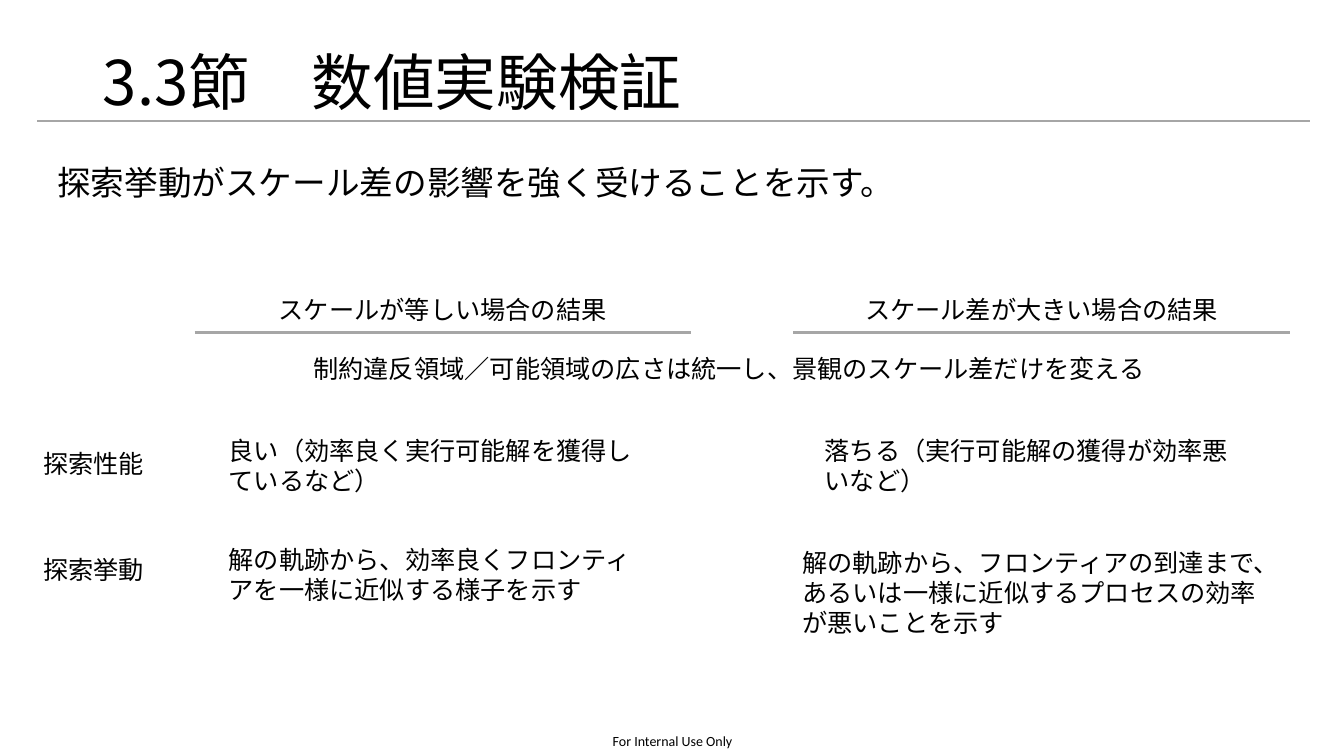
from lxml.etree import SubElement
from pptx import Presentation
from pptx.dml.color import RGBColor
from pptx.enum.shapes import MSO_CONNECTOR
from pptx.enum.text import MSO_ANCHOR, MSO_AUTO_SIZE, PP_ALIGN
from pptx.oxml.ns import qn
from pptx.util import Inches, Pt

COLORS = {"text": "000000", "rule": "A6A6A6", "back": "FFFFFF"}
FONT = "Noto Sans CJK JP"
LINE = 0.46


def write(shape, text, size=18, align=PP_ALIGN.LEFT, font=FONT):
    frame = shape.text_frame
    frame.text = text
    frame.word_wrap = True
    frame.auto_size = MSO_AUTO_SIZE.NONE
    frame.vertical_anchor = MSO_ANCHOR.MIDDLE
    para = frame.paragraphs[0]
    para.alignment = align
    for run in para.runs:
        run.font.name = font
        run.font.size = Pt(size)
        run.font.color.rgb = RGBColor.from_string(COLORS["text"])
        # East Asian glyphs need their own typeface entry
        SubElement(run.font._element, qn("a:ea")).set("typeface", font)
    return frame


def add_text(slide, box, text, **style):
    shape = slide.shapes.add_textbox(*map(Inches, box))
    return write(shape, text, **style)


def add_rule(slide, left, top, width, weight):
    rule = slide.shapes.add_connector(
        MSO_CONNECTOR.STRAIGHT, Inches(left), Inches(top),
        Inches(left + width), Inches(top))
    rule.line.color.rgb = RGBColor.from_string(COLORS["rule"])
    rule.line.width = Pt(weight)
    SubElement(rule._element.spPr, qn("a:effectLst"))


def add_header(slide, left, top, width):
    title = slide.shapes.title
    title.left, title.top = Inches(left + 0.55), Inches(top)
    title.width, title.height = Inches(11.5), Inches(0.89)
    frame = write(title, "3.3節\u3000数値実験検証".replace("\u3000", "　"), size=44)
    frame.paragraphs[0].line_spacing = 0.9
    add_rule(slide, left, top + 0.8, width, 1)
    add_text(slide, (left + 0.1, top + 1.18, 12.31, LINE),
             "探索挙動がスケール差の影響を強く受けることを示す。", size=24)


def add_labels(slide, left, top, width):
    for row, label in enumerate(("探索性能", "探索挙動")):
        add_text(slide, (left, top + row * 1.05, width, LINE), label,
                 align=PP_ALIGN.CENTER)


def add_column(slide, left, top, head, cells):
    """Place a ruled heading and its cells, given as (dx, dy, w, h, text)."""
    width = 5.24
    add_text(slide, (left, top, width, LINE), head, align=PP_ALIGN.CENTER)
    add_rule(slide, left + 0.16, top + LINE, width - 0.32, 2.25)
    for dx, dy, wide, high, text in cells:
        add_text(slide, (left + dx, top + dy, wide, high), text)


def add_footer(slide, left, top, width, height):
    frame = add_text(slide, (left, top, width, height), "For Internal Use Only",
                     size=10, align=PP_ALIGN.CENTER, font="Calibri")
    frame.margin_left = frame.margin_right = 0
    frame.margin_top = frame.margin_bottom = 0


def main():
    deck = Presentation()
    deck.slide_width, deck.slide_height = Inches(13.33), Inches(7.5)
    slide = deck.slides.add_slide(deck.slide_layouts[5])
    fill = slide.background.fill
    fill.solid()
    fill.fore_color.rgb = RGBColor.from_string(COLORS["back"])

    add_header(slide, 0.37, 0.4, 12.62)
    add_column(slide, 1.77, 2.84, "スケールが等しい場合の結果", (
        (0.4, 1.55, 4.22, LINE, "良い（効率良く実行可能解を獲得しているなど）"),
        (0.4, 2.63, 4.33, LINE,
         "解の軌跡から、効率良くフロンティアを一様に近似する様子を示す"),
    ))
    add_column(slide, 7.71, 2.84, "スケール差が大きい場合の結果", (
        (0.37, 1.55, 4.22, LINE, "落ちる（実行可能解の獲得が効率悪いなど）"),
        (0.15, 2.55, 4.73, 0.97,
         "解の軌跡から、フロンティアの到達まで、"
         "あるいは一様に近似するプロセスの効率が悪いことを示す"),
    ))
    add_text(slide, (3.01, 3.43, 8.6, LINE),
             "制約違反領域／可能領域の広さは統一し、景観のスケール差だけを変える")
    add_labels(slide, 0, 4.37, 1.86)
    add_footer(slide, 5.91, 7.21, 1.52, 0.29)
    deck.save("out.pptx")


if __name__ == "__main__":
    main()
